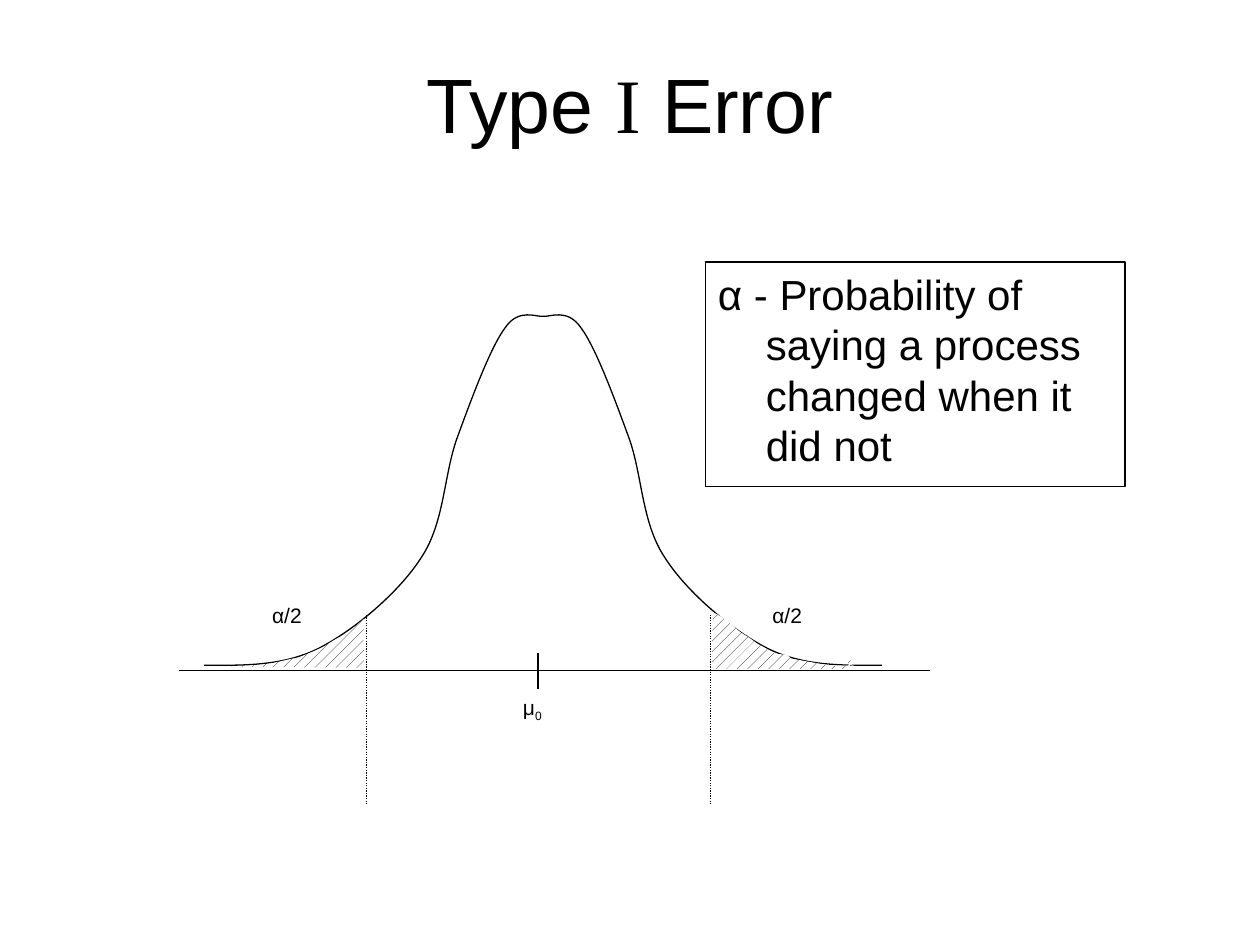
from dataclasses import dataclass

from lxml import etree
from pptx import Presentation
from pptx.dml.color import RGBColor
from pptx.enum.dml import MSO_LINE, MSO_PATTERN
from pptx.enum.shapes import MSO_CONNECTOR, MSO_SHAPE
from pptx.enum.text import MSO_ANCHOR, PP_ALIGN
from pptx.oxml.ns import qn
from pptx.util import Inches, Pt

STRAIGHT = MSO_CONNECTOR.STRAIGHT
RECTANGLE = MSO_SHAPE.RECTANGLE
DOTTED = MSO_LINE.ROUND_DOT
HATCH = MSO_PATTERN.PERCENT_20
TOP, MIDDLE = MSO_ANCHOR.TOP, MSO_ANCHOR.MIDDLE
LEFT, CENTER = PP_ALIGN.LEFT, PP_ALIGN.CENTER

# The slide is a grid of 100 columns by 75 rows
COLUMNS, ROWS = 100, 75
UNIT = Inches(10) // COLUMNS


@dataclass(frozen=True)
class Theme:
    ink: RGBColor = RGBColor(0, 0, 0)
    paper: RGBColor = RGBColor(255, 255, 255)
    font: str = "Arial"
    numeral_font: str = "Times New Roman"
    title_size: int = 44
    body_size: int = 24
    label_size: int = 12
    line_width: float = 0.75


@dataclass(frozen=True)
class Box:
    left: float
    top: float
    width: float
    height: float

    def inner(self, column, row, width, height):
        return Box(self.left + column, self.top + row, width, height)

    def lengths(self):
        return [grid(value) for value in
                (self.left, self.top, self.width, self.height)]


THEME = Theme()

# Bezier chains as (columns from the centre, rows above the axis)
HALF_BELL = [
    (26.9, 0.4), (23.9, 0.4), (20.8, 0.3), (17.9, 1.7), (15.1, 3.1),
    (11.5, 6.1), (9.7, 8.9), (7.8, 11.7), (7.9, 15.5), (6.8, 18.5),
    (5.7, 21.5), (4.2, 25.6), (3, 27.2), (1.9, 28.8), (0.5, 28), (0, 28.1),
]
LEFT_TAIL = [
    (14.2, 4.1), (14.4, -0.6), (14.2, 5.3), (14.2, 0),
    (14.3, 0.2), (14.3, 0.2), (14.3, 0.2),
    (26.3, 0.3), (22.3, 0.3), (26.4, 0.3),
    (25.2, 0.3), (23.3, 0.3), (21.9, 0.5),
    (21.1, 0.6), (20.3, 0.9), (19.4, 1),
    (18.5, 1.4), (17.7, 1.7), (17.2, 2),
    (16.5, 2.5), (16, 2.7), (15.6, 2.9),
    (15.1, 3.2), (14.7, 3.7), (14.2, 4.1),
]
RIGHT_TAIL = [
    (13.5, 4.6), (13.4, 1.4), (13.4, 2.9), (13.4, 0.1),
    (17.1, 0.1), (20.8, 0.1), (24.5, 0.1),
    (24.5, 0.6), (24.5, 1.1), (24.2, 0.6),
    (24.2, 0.5), (24.3, 0.3), (24.4, 0.3),
    (24.9, 0.3), (24.6, 0.4), (24.5, 0.4),
    (22.8, 0.2), (21.3, 0.7), (19.7, 0.9),
    (19.3, 1.4), (19.2, 1.2), (18.5, 1.3),
    (17.8, 1.6), (17.5, 1.9), (17, 2.1),
    (16.4, 2.6), (16, 2.8), (15.7, 3),
    (15.2, 3.4), (15, 3.6), (14.8, 3.8),
    (14.3, 4.2), (13.7, 4.5), (13.3, 4.7),
]


def grid(value):
    return round(value * UNIT)


def add_run(paragraph, text, size, font=THEME.font):
    run = paragraph.add_run()
    run.text = text
    run.font.size = Pt(size)
    run.font.name = font
    run.font.color.rgb = THEME.ink
    return run


def style_line(line):
    line.color.rgb = THEME.ink
    line.width = Pt(THEME.line_width)


def add_line(slide, start, end, dotted=False):
    points = [grid(value) for value in (*start, *end)]
    connector = slide.shapes.add_connector(STRAIGHT, *points)
    style_line(connector.line)
    if dotted:
        connector.line.dash_style = DOTTED
    etree.SubElement(connector._element.spPr, qn("a:effectLst"))


def add_panel(slide, box):
    """Add a white rectangle and return it with its first paragraph."""
    shape = slide.shapes.add_shape(RECTANGLE, *box.lengths())
    shape.shadow.inherit = False
    shape.fill.solid()
    shape.fill.fore_color.rgb = THEME.paper
    shape.line.fill.background()
    frame = shape.text_frame
    frame.word_wrap = True
    frame.vertical_anchor = TOP
    paragraph = frame.paragraphs[0]
    paragraph.alignment = LEFT
    return shape, paragraph


def add_label(slide, box, text, subscript=None):
    shape, paragraph = add_panel(slide, box)
    frame = shape.text_frame
    frame.margin_left = frame.margin_right = 0
    frame.margin_top = frame.margin_bottom = 0
    add_run(paragraph, text, THEME.label_size)
    if subscript:
        run = add_run(paragraph, subscript, THEME.label_size)
        run.font._element.set("baseline", "-25000")


def add_curve(slide, origin, side, chain, close=False):
    """Draw a Bezier chain, mirrored to the left when side is -1."""
    start, *rest = [(grid(origin[0] + side * x), grid(origin[1] - y))
                    for x, y in chain]
    builder = slide.shapes.build_freeform(*start)
    builder.add_line_segments(rest, close=close)
    shape = builder.convert_to_shape()
    shape.shadow.inherit = False

    # Turn every three line points into one cubic segment
    lines = list(shape._element.iter(qn("a:lnTo")))
    for first in range(0, len(lines), 3):
        segment = lines[first]
        segment.tag = qn("a:cubicBezTo")
        for line in lines[first + 1:first + 3]:
            segment.append(line[0])
            line.getparent().remove(line)
    return shape


def add_bell_half(slide, origin, side):
    bell = add_curve(slide, origin, side, HALF_BELL)
    bell.fill.background()
    style_line(bell.line)


def add_tail(slide, origin, side, chain):
    tail = add_curve(slide, origin, side, chain, close=True)
    tail.fill.patterned()
    tail.fill.pattern = HATCH
    tail.fill.fore_color.rgb = THEME.ink
    tail.fill.back_color.rgb = THEME.paper
    tail.line.fill.background()


def add_title(slide, box):
    title = slide.shapes.title
    title.left, title.top, title.width, title.height = box.lengths()
    title.text_frame.vertical_anchor = MIDDLE
    paragraph = title.text_frame.paragraphs[0]
    paragraph.alignment = CENTER
    add_run(paragraph, "Type ", THEME.title_size)
    add_run(paragraph, "I", THEME.title_size, THEME.numeral_font)
    add_run(paragraph, " Error", THEME.title_size)


def add_distribution(slide, box):
    origin = centre, axis = box.left + 28.9, box.top + 28.8

    # Mean and left tail labels, then the bell
    add_label(slide, box.inner(27.3, 30.7, 2.5, 2.9), "μ", "0")
    add_label(slide, box.inner(7.4, 23.4, 3.1, 2.9), "α/2")
    for side in (-1, 1):
        add_bell_half(slide, origin, side)

    # Axis, mean tick and dotted limits
    add_line(slide, (box.left, axis), (box.left + box.width, axis))
    tick = box.left + 28.5
    add_line(slide, (tick, axis - 1.4), (tick, axis + 1.5))
    for limit in (centre - 14, centre + 13.3):
        add_line(slide, (limit, box.top + 24.4),
                 (limit, box.top + box.height), dotted=True)

    # Hatched tails and right tail label
    add_tail(slide, origin, -1, LEFT_TAIL)
    add_tail(slide, origin, 1, RIGHT_TAIL)
    add_label(slide, box.inner(47.1, 23.4, 3.1, 2.9), "α/2")


def add_definition(slide, box):
    shape, paragraph = add_panel(slide, box)
    style_line(shape.line)
    hanging = grid(3.8)
    properties = paragraph._p.get_or_add_pPr()
    properties.set("marL", str(hanging))
    properties.set("indent", str(-hanging))
    add_run(paragraph, "α - Probability of saying a process changed "
            "when it did not", THEME.body_size)


def main():
    presentation = Presentation()
    presentation.slide_width = grid(COLUMNS)
    presentation.slide_height = grid(ROWS)
    slide = presentation.slides.add_slide(presentation.slide_layouts[5])
    add_title(slide, Box(5, 3, 90, 10.3))
    add_distribution(slide, Box(14.2, 24.4, 59.6, 39.5))
    add_definition(slide, Box(56, 20.8, 33.3, 17.8))
    presentation.save("out.pptx")


if __name__ == "__main__":
    main()
